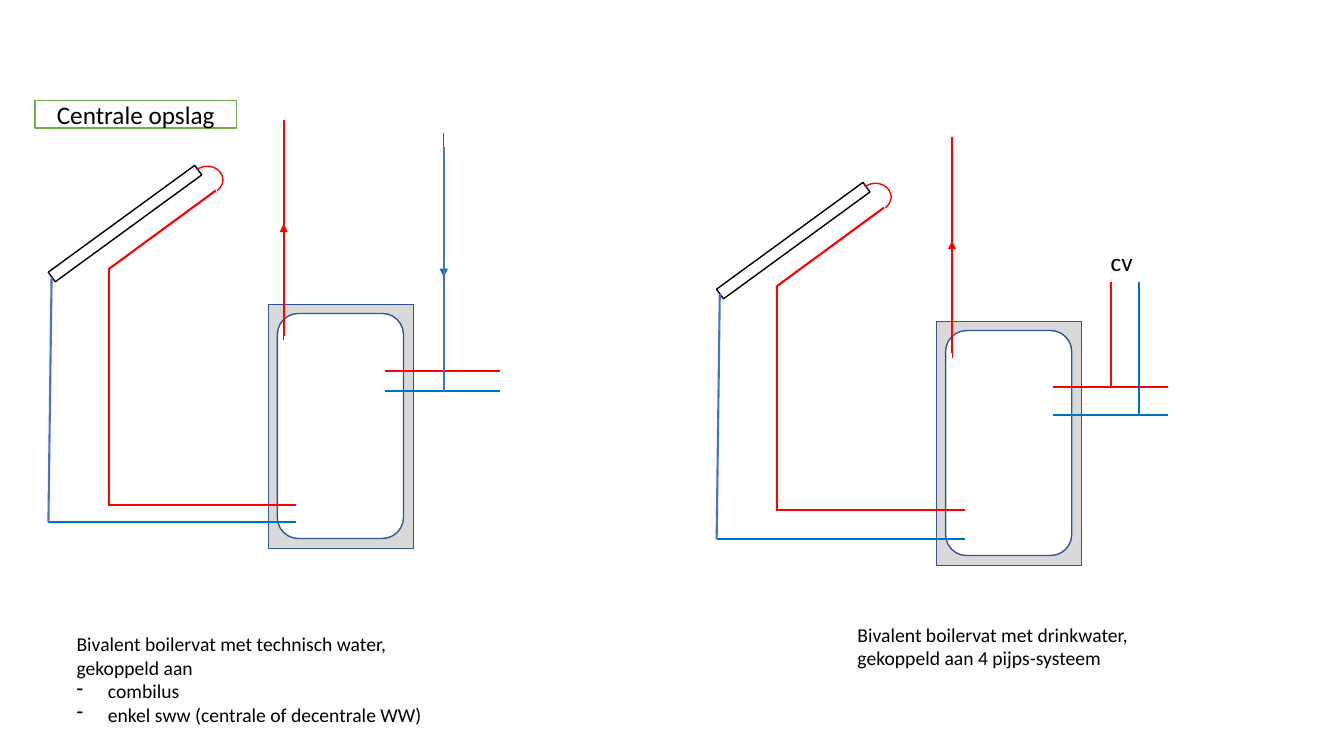
from lxml import etree
from pptx import Presentation
from pptx.dml.color import RGBColor
from pptx.enum.shapes import MSO_CONNECTOR, MSO_SHAPE
from pptx.enum.text import MSO_ANCHOR, MSO_AUTO_SIZE, PP_ALIGN
from pptx.oxml.ns import qn
from pptx.util import Cm, Pt

LINE = MSO_CONNECTOR.STRAIGHT
RECT, ROUND, ARC = MSO_SHAPE.RECTANGLE, MSO_SHAPE.ROUNDED_RECTANGLE, MSO_SHAPE.ARC
MIDDLE, CENTER = MSO_ANCHOR.MIDDLE, PP_ALIGN.CENTER
GROW = MSO_AUTO_SIZE.SHAPE_TO_FIT_TEXT
FONT = "Calibri"
HEX = {
    "hot": "FF0000", "cold": "0070C0", "steel": "4472C4", "edge": "325491",
    "shell": "D9D9D9", "white": "FFFFFF", "black": "000000", "green": "70AD47",
}


def tint(name):
    """Return the named colour."""
    return RGBColor.from_string(HEX[name])


def block(slide, kind, box, edge, fill=None):
    """Draw an outlined shape in a box given in centimetres."""
    shape = slide.shapes.add_shape(kind, *map(Cm, box))
    shape.shadow.inherit = False
    shape.line.color.rgb = tint(edge)
    shape.line.width = Pt(1)
    if fill:
        shape.fill.solid()
        shape.fill.fore_color.rgb = tint(fill)
    else:
        shape.fill.background()
    return shape


def pipe(slide, base, start, end, color, width=1.5, arrow=False):
    """Draw a pipe between two points relative to a base point."""
    ends = [Cm(a + b) for point in (start, end) for a, b in zip(base, point)]
    link = slide.shapes.add_connector(LINE, *ends)
    link.line.color.rgb = tint(color)
    link.line.width = Pt(width)
    if arrow:
        etree.SubElement(link.line._get_or_add_ln(), qn("a:tailEnd"), type="triangle")
    etree.SubElement(link._element.spPr, qn("a:effectLst"))


def style(frame, size):
    """Set the font of every run in a frame."""
    for para in frame.paragraphs:
        for run in para.runs:
            run.font.name = FONT
            run.font.size = Pt(size)
            run.font.color.rgb = tint("black")


def note(slide, box, text, size, wrap=False, dashes=0):
    """Place a text box whose last paragraphs may carry dashes."""
    frame = slide.shapes.add_textbox(*map(Cm, box)).text_frame
    frame.word_wrap = wrap
    frame.auto_size = GROW
    frame.text = text
    paras = frame.paragraphs
    for para in paras[len(paras) - dashes:]:
        props = para._p.get_or_add_pPr()
        props.set("marL", str(Cm(0.79)))
        props.set("indent", str(-Cm(0.79)))
        etree.SubElement(props, qn("a:buFontTx"))
        etree.SubElement(props, qn("a:buChar"), char="-")
    style(frame, size)


def plant(slide, base, low, taps):
    """Draw collector, tank, riser and taps; low is the height of the hot coil."""
    x, y = base
    block(slide, RECT, (x + 5.54, y + 4.65, 3.66, 6.15), "edge", "shell")
    block(slide, ROUND, (x + 5.77, y + 4.88, 3.18, 5.67), "edge", "white")
    panel = block(slide, RECT, (x + 1.78, y + 0.33, 0.3, 4.57), "black")
    panel.rotation = 53.9
    bend = block(slide, ARC, (x + 3.61, y + 1.17, 0.79, 0.69), "hot")
    bend.adjustments[0], bend.adjustments[1] = 134.128, 28.432
    hot, cold = taps
    for start, end, color in (
        ((4.22, 1.78), (1.52, 3.76), "hot"),
        ((1.52, 3.76), (1.52, low), "hot"),
        ((6.25, low), (1.5, low), "hot"),
        ((6.25, 10.14), (0, 10.14), "cold"),
        ((0, 10.14), (0.08, 3.96), "steel"),
        ((11.38, hot), (8.48, hot), "hot"),
        ((11.38, cold), (8.48, cold), "cold"),
        ((5.93, 0), (5.93, 5.44), "hot"),
    ):
        pipe(slide, base, start, end, color)
    pipe(slide, base, (5.93, 5.56), (5.93, 2.62), "hot", 0.5, True)


def shared(slide, base):
    """Build the plant with technical water and its single return."""
    taps = 6.32, 6.83
    plant(slide, base, 9.7, taps)
    pipe(slide, base, (9.96, 0.33), (9.96, 3.96), "cold", 1, True)
    pipe(slide, base, (9.96, taps[1]), (9.96, 0.69), "steel")
    x, y = base
    text = ("Bivalent boilervat met technisch water,\ngekoppeld aan\n"
            "combilus\nenkel sww (centrale of decentrale WW)")
    note(slide, (x + 0.46, y + 12.78, 9.3, 2.64), text, 14, dashes=2)


def split(slide, base):
    """Build the plant with drinking water and its heating pair."""
    taps = 6.3, 7.01
    plant(slide, base, 9.4, taps)
    for left, tap, color in zip((9.93, 10.64), taps, ("hot", "cold")):
        pipe(slide, base, (left, 3.66), (left, tap), color)
    x, y = base
    note(slide, (x + 9.68, y + 2.62, 1.32, 1.02), "cv", 18, wrap=True)
    text = "Bivalent boilervat met drinkwater,\ngekoppeld aan 4 pijps-systeem"
    note(slide, (x + 3.3, y + 12.12, 7.42, 1.45), text, 14)


def label(slide, box):
    """Place the framed heading."""
    shape = block(slide, RECT, box, "green", "white")
    frame = shape.text_frame
    frame.text = "Centrale opslag"
    frame.vertical_anchor = MIDDLE
    frame.paragraphs[0].alignment = CENTER
    style(frame, 18)


def main():
    """Build and save the slide."""
    deck = Presentation()
    deck.slide_width, deck.slide_height = Cm(33.87), Cm(19.05)
    slide = deck.slides.add_slide(deck.slide_layouts[6])
    shared(slide, (1.22, 3.02))
    split(slide, (18.06, 3.45))
    label(slide, (0.88, 2.54, 5.08, 0.69))
    deck.save("out.pptx")


if __name__ == "__main__":
    main()
